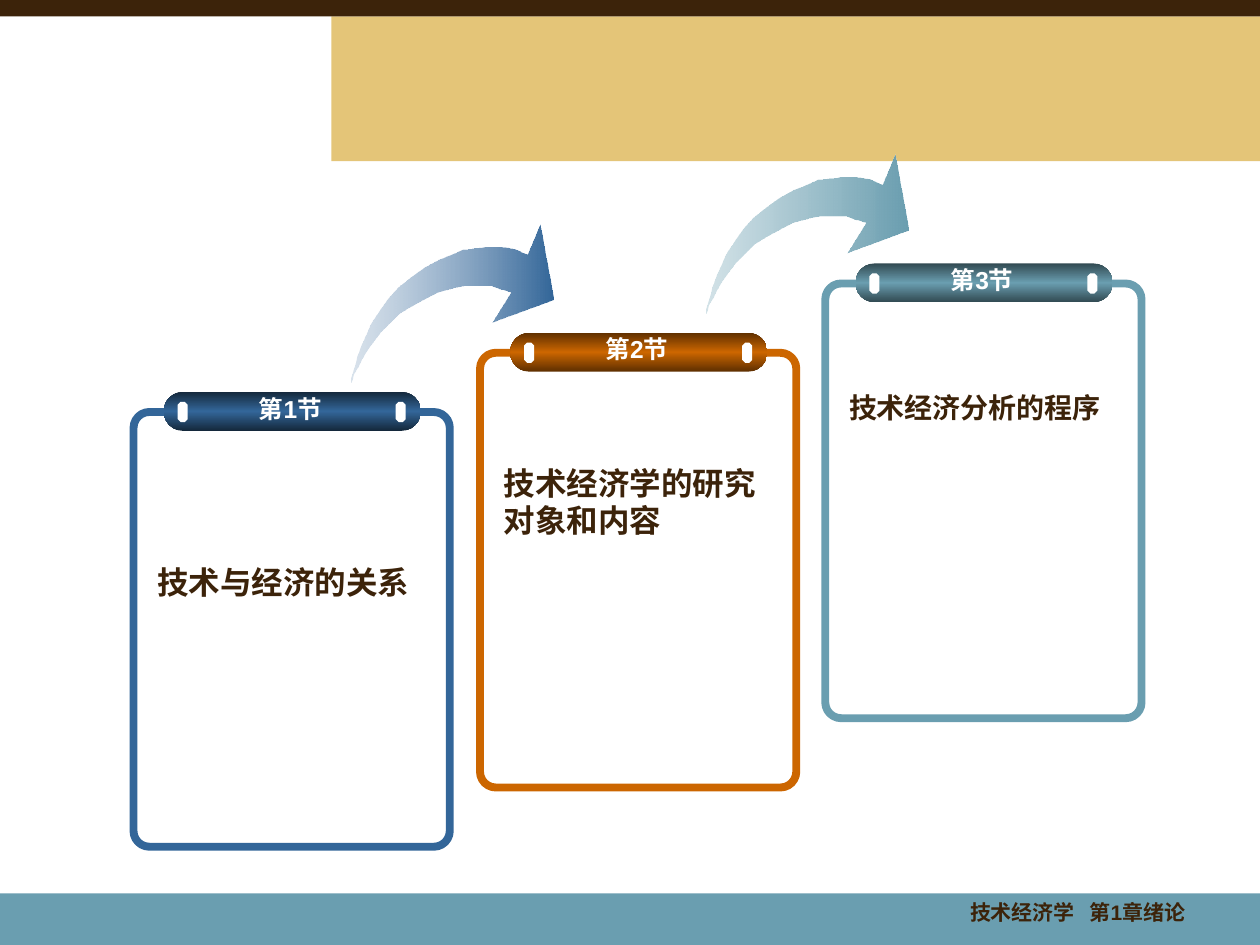
import pptx
import pptx.util
import pptx.dml.color
import pptx.enum.shapes
import pptx.enum.text
import pptx.oxml.ns
from dataclasses import dataclass
from lxml import etree

Inches, Pt = pptx.util.Inches, pptx.util.Pt
Color = pptx.dml.color.RGBColor.from_string
Kind = pptx.enum.shapes.MSO_SHAPE
qn = pptx.oxml.ns.qn


@dataclass(frozen=True)
class Theme:
    font: str = "Arial"
    brown: str = "3C230A"
    gold: str = "E4C578"
    teal: str = "6A9EB0"
    teal_dark: str = "314951"
    teal_light: str = "77A7B7"
    orange: str = "CC6600"
    orange_dark: str = "5E2F00"
    blue: str = "336699"
    blue_dark: str = "14283B"
    blue_light: str = "89A7C4"
    white: str = "FFFFFF"
    badge_size: int = 14
    footer_size: int = 12


theme = Theme()


def paint_gradient(shape, stops, degrees):
    """Fill with (position %, colour, opacity %) stops, turned clockwise."""
    shape.fill.gradient()
    gradient = shape._element.spPr.find(qn("a:gradFill"))
    stop_list = gradient.find(qn("a:gsLst"))
    for stop in list(stop_list):
        stop_list.remove(stop)
    for position, color, opacity in stops:
        stop = etree.SubElement(stop_list, qn("a:gs"), pos=str(position * 1000))
        value = etree.SubElement(stop, qn("a:srgbClr"), val=color)
        if opacity < 100:
            etree.SubElement(value, qn("a:alpha"), val=str(opacity * 1000))
    gradient.find(qn("a:lin")).set("ang", str(degrees * 60000))
    shape.line.fill.background()
    shape.shadow.inherit = False


def style_text(paragraph, text, size, color):
    paragraph.text = text
    paragraph.font.name = theme.font
    paragraph.font.size = Pt(size)
    paragraph.font.bold = True
    paragraph.font.color.rgb = Color(color)


deck = pptx.Presentation()
deck.slide_width, deck.slide_height = Inches(10), Inches(7.5)
page = deck.slides.add_slide(deck.slide_layouts[6])

# Background bands
for left, top, width, height, color in (
    (2.63, 0.13, 7.37, 1.15, theme.gold),
    (0, 7.09, 10, 0.41, theme.teal),
    (0, 0, 10, 0.13, theme.brown),
):
    band = page.shapes.add_shape(
        Kind.RECTANGLE, Inches(left), Inches(top), Inches(width), Inches(height))
    band.fill.solid()
    band.fill.fore_color.rgb = Color(color)
    band.line.fill.background()
    band.shadow.inherit = False

# Curved arrows: one outline, in hundredths of an inch
arrow_outline = [
    (0, 126), (1, 123), (2, 119), (5, 114), (8, 108), (12, 101), (17, 94),
    (23, 86), (30, 79), (38, 71), (48, 65), (59, 59), (69, 54), (80, 51),
    (89, 49), (97, 49), (104, 49), (111, 49), (116, 51), (120, 52), (126, 54),
    (111, 78), (160, 60), (149, 0), (139, 24), (134, 22), (130, 20), (125, 19),
    (119, 18), (113, 18), (105, 18), (97, 19), (88, 20), (79, 24), (69, 28),
    (58, 34), (47, 42), (37, 50), (29, 59), (22, 69), (16, 78), (12, 87),
    (8, 96), (5, 104), (3, 112), (1, 118), (0, 122),
]
for left, top, light, color in (
    (2.79, 1.78, theme.blue_light, theme.blue),
    (5.61, 1.23, theme.teal_light, theme.teal),
):
    builder = page.shapes.build_freeform(*arrow_outline[0], scale=Inches(0.01))
    builder.add_line_segments(arrow_outline[1:], close=True)
    arrow = builder.convert_to_shape(Inches(left), Inches(top))
    paint_gradient(arrow, [(0, light, 32), (100, color, 100)], 0)

# Section panels, each with a badge, two studs and a heading
sections = (
    (1.06, 3.27, theme.blue, theme.blue_dark, "第1节", "技术与经济的关系", 18, 4.42),
    (3.81, 2.80, theme.orange, theme.orange_dark, "第2节",
     "技术经济学的研究对象和内容", 18, 3.63),
    (6.55, 2.25, theme.teal, theme.teal_dark, "第3节", "技术经济分析的程序", 16, 3.05),
)
for left, top, color, dark, label, heading, size, heading_top in sections:
    panel = page.shapes.add_shape(
        Kind.ROUNDED_RECTANGLE, Inches(left), Inches(top), Inches(2.51), Inches(3.45))
    panel.adjustments[0] = 0.05
    panel.fill.background()
    panel.line.color.rgb = Color(color)
    panel.line.width = Pt(4.5)
    panel.shadow.inherit = False

    badge = page.shapes.add_shape(
        Kind.ROUNDED_RECTANGLE, Inches(left + 0.24), Inches(top - 0.16),
        Inches(2.04), Inches(0.31))
    badge.adjustments[0] = 0.5
    paint_gradient(badge, [(0, dark, 100), (50, color, 100), (100, dark, 100)], 90)
    frame = badge.text_frame
    frame.margin_top, frame.margin_bottom = 0, Inches(0.05)
    frame.margin_left, frame.margin_right = 0, Inches(0.03)
    frame.vertical_anchor = pptx.enum.text.MSO_ANCHOR.MIDDLE
    frame.paragraphs[0].alignment = pptx.enum.text.PP_ALIGN.CENTER
    style_text(frame.paragraphs[0], label, theme.badge_size, theme.white)

    for offset in (0.35, 2.08):
        stud = page.shapes.add_shape(
            Kind.OCTAGON, Inches(left + offset), Inches(top - 0.08),
            Inches(0.08), Inches(0.16))
        stud.fill.solid()
        stud.fill.fore_color.rgb = Color(theme.white)
        stud.line.fill.background()
        stud.shadow.inherit = False

    box = page.shapes.add_textbox(
        Inches(left + 0.09), Inches(heading_top), Inches(2.33), Inches(0.4))
    box.text_frame.word_wrap = True
    style_text(box.text_frame.paragraphs[0], heading, size, theme.brown)

# Footer: course and chapter, set apart by a tab stop
footer = page.shapes.add_textbox(Inches(7.6), Inches(7.09), Inches(1.99), Inches(0.33))
footer.text_frame.word_wrap = True
paragraph = footer.text_frame.paragraphs[0]
tabs = etree.SubElement(paragraph._p.get_or_add_pPr(), qn("a:tabLst"))
etree.SubElement(tabs, qn("a:tab"), pos=str(Inches(0.95)), algn="l")
style_text(paragraph, "技术经济学\t第1章绪论", theme.footer_size, theme.brown)

deck.save("out.pptx")
